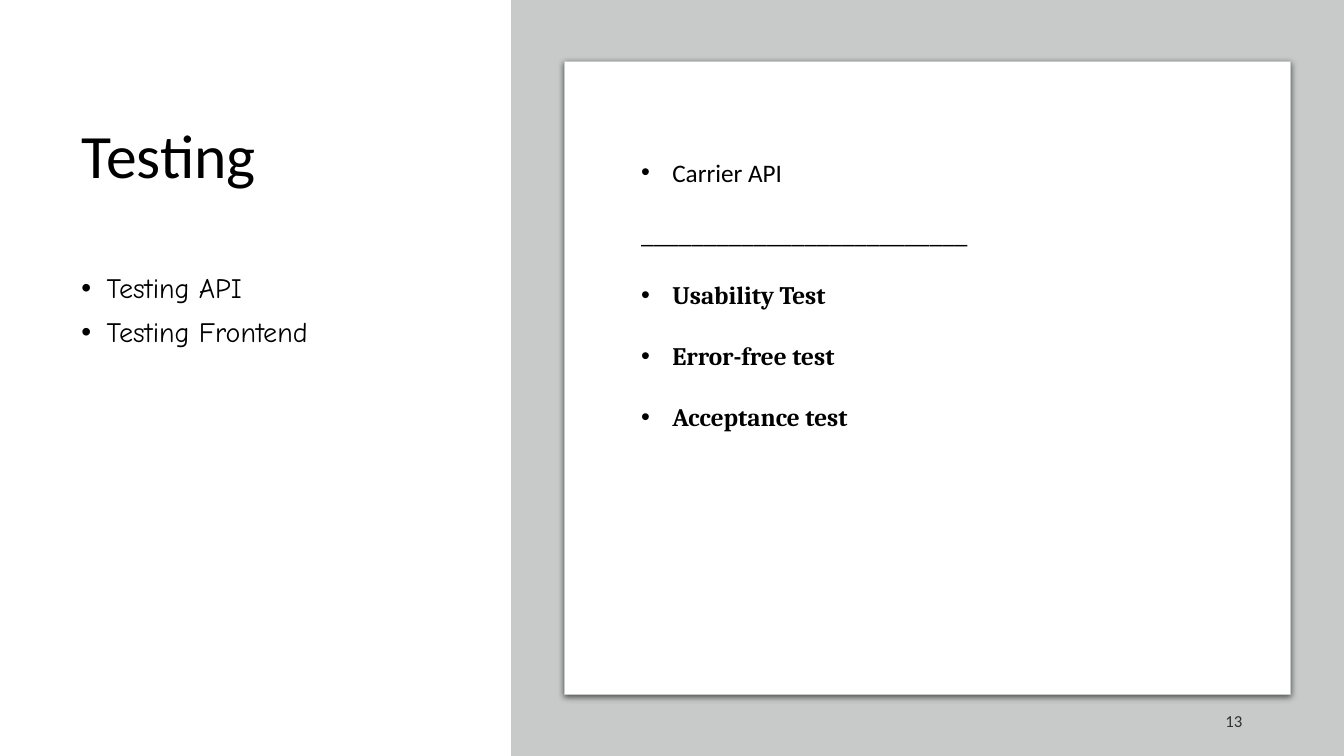
from dataclasses import dataclass

import lxml.etree
import pptx
import pptx.dml.color
import pptx.enum.shapes
import pptx.enum.text
import pptx.oxml
import pptx.oxml.ns
import pptx.util

Inches = pptx.util.Inches
Pt = pptx.util.Pt
Align = pptx.enum.text.PP_ALIGN
Anchor = pptx.enum.text.MSO_ANCHOR
Shapes = pptx.enum.shapes.MSO_SHAPE


@dataclass(frozen=True)
class Theme:
    ink: str = "000000"
    muted: str = "303030"
    paper: str = "FFFFFF"
    backdrop: str = "C8CACA"
    sans: str = "Calibri"
    serif: str = "Cambria"
    casual: str = "Comic Neue"
    title: int = 44
    topic: int = 20
    detail: int = 18
    footer: int = 12


THEME = Theme()


def rgb(color):
    return pptx.dml.color.RGBColor.from_string(color)


def add_panel(slide, kind, box, fill):
    panel = slide.shapes.add_shape(kind, *map(Inches, box))
    panel.shadow.inherit = False
    panel.fill.solid()
    panel.fill.fore_color.rgb = rgb(fill)
    panel.line.fill.background()
    return panel


def add_card(slide, box):
    card = add_panel(slide, Shapes.ROUNDED_RECTANGLE, box, THEME.paper)
    card.adjustments[0] = 0
    card.line.color.rgb = rgb(THEME.backdrop)
    card.line.width = Pt(0.75)
    effects = card.element.spPr.find(pptx.oxml.ns.qn("a:effectLst"))
    effects.append(pptx.oxml.parse_xml(
        f'<a:outerShdw {pptx.oxml.ns.nsdecls("a")} blurRad="{Pt(4.5)}" '
        f'dist="{Pt(1.5)}" dir="5400000" algn="ctr" rotWithShape="0">'
        f'<a:srgbClr val="{THEME.ink}"><a:alpha val="63000"/></a:srgbClr>'
        '</a:outerShdw>'))


def add_text_frame(slide, box, anchor=Anchor.TOP):
    frame = slide.shapes.add_textbox(*map(Inches, box)).text_frame
    frame.word_wrap = True
    frame.vertical_anchor = anchor
    return frame


def write(paragraph, text, font, size, color=THEME.ink, bold=False):
    paragraph.text = text
    paragraph.font.name = font
    paragraph.font.size = Pt(size)
    paragraph.font.color.rgb = rgb(color)
    paragraph.font.bold = bold


def add_bullet(paragraph, indent):
    properties = paragraph._p.get_or_add_pPr()
    properties.set("marL", str(Inches(indent)))
    properties.set("indent", str(-Inches(indent)))
    qn = pptx.oxml.ns.qn
    bullet_font = lxml.etree.Element(qn("a:buFont"), typeface="Arial")
    bullet = lxml.etree.Element(qn("a:buChar"), char="•")
    defaults = properties.find(qn("a:defRPr"))
    defaults.addprevious(bullet_font)
    defaults.addprevious(bullet)


def next_paragraph(frame, index):
    return frame.add_paragraph() if index else frame.paragraphs[0]


def add_title(slide, text):
    title = add_text_frame(slide, (0.71, 0.69, 3.83, 1.77), Anchor.MIDDLE).paragraphs[0]
    write(title, text, THEME.sans, THEME.title)
    title.line_spacing = 0.9


def add_topics(slide, topics):
    frame = add_text_frame(slide, (0.71, 2.67, 3.83, 4.14))
    for index, text in enumerate(topics):
        topic = next_paragraph(frame, index)
        write(topic, text, THEME.casual, THEME.topic)
        topic.line_spacing = 0.9
        topic.space_before = Pt(10)
        add_bullet(topic, 0.25)


def add_details(slide, tool, tests):
    frame = add_text_frame(slide, (6.26, 1.51, 5.99, 2.83))
    divider = "_" * 26
    for index, text in enumerate([tool, divider, *tests]):
        detail = next_paragraph(frame, index)
        is_test = text in tests
        font = THEME.serif if is_test else THEME.sans
        write(detail, text, font, THEME.detail, bold=is_test)
        if index:
            detail.space_before = Pt(22)
        if text != divider:
            add_bullet(detail, 0.31)


def add_page_number(slide, number):
    page = add_text_frame(slide, (9.42, 6.95, 3, 0.4), Anchor.MIDDLE).paragraphs[0]
    write(page, number, THEME.sans, THEME.footer, THEME.muted)
    page.alignment = Align.RIGHT
    page.space_after = Pt(6)


def main():
    deck = pptx.Presentation()
    deck.slide_width, deck.slide_height = Inches(13.33), Inches(7.5)
    slide = deck.slides.add_slide(deck.slide_layouts[6])
    add_title(slide, "Testing")
    add_topics(slide, ["Testing API", "Testing Frontend"])
    add_panel(slide, Shapes.RECTANGLE, (5.07, 0, 8.26, 7.5), THEME.backdrop)
    add_card(slide, (5.6, 0.61, 7.2, 6.28))
    add_page_number(slide, "13")
    add_details(slide, "Carrier API",
                ["Usability Test", "Error-free test", "Acceptance test"])
    deck.save("out.pptx")


if __name__ == "__main__":
    main()
